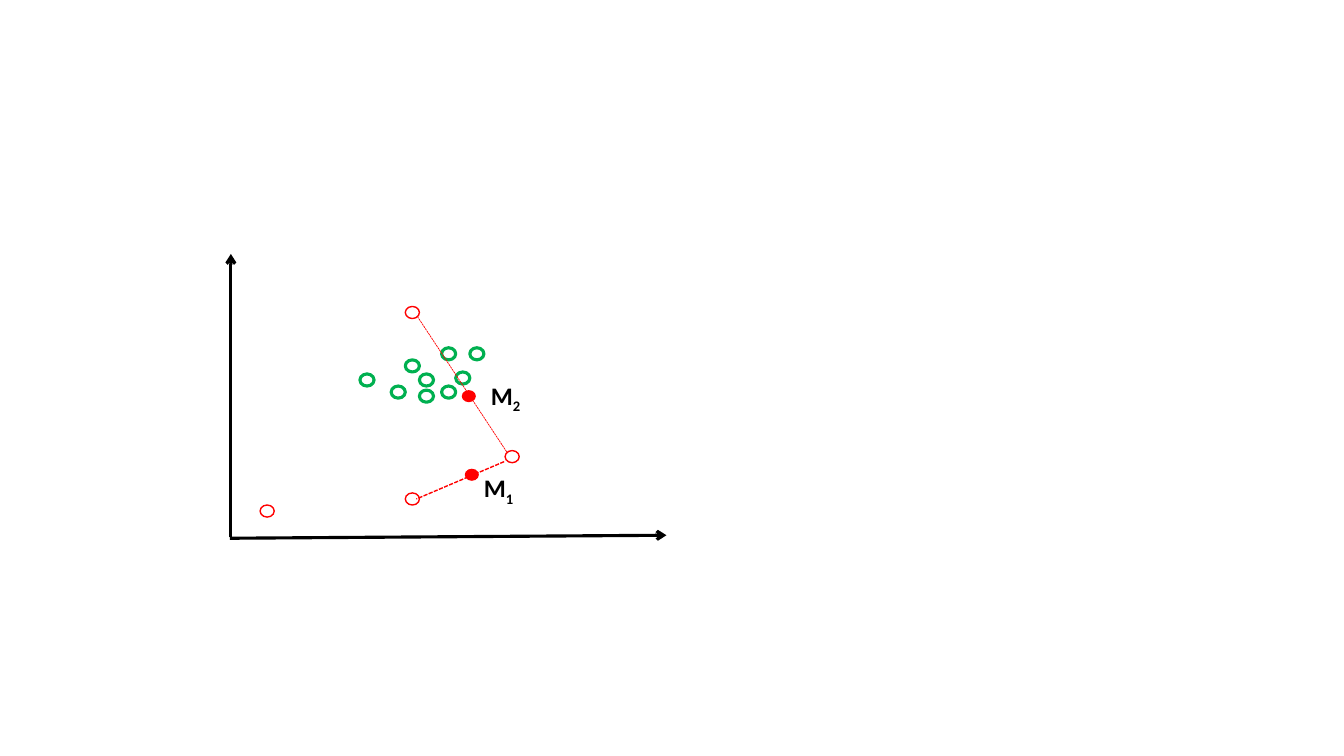
from lxml.etree import SubElement
from pptx import Presentation
from pptx.dml.color import RGBColor
from pptx.enum.dml import MSO_LINE
from pptx.enum.shapes import MSO_CONNECTOR, MSO_SHAPE
from pptx.enum.text import MSO_AUTO_SIZE
from pptx.oxml.ns import qn
from pptx.util import Inches, Pt

COLORS = {"axis": "000000", "cluster": "00B050", "outlier": "FF0000"}
POINT_SIZE = (0.14, 0.12)
CLUSTER_POINTS = [
    (4.02, 3.57), (4.16, 3.71), (3.57, 3.71), (3.88, 3.83), (4.66, 3.45),
    (4.38, 3.83), (4.38, 3.45), (4.52, 3.69), (4.16, 3.87),
]
OUTLIERS = [(4.02, 3.04), (5.01, 4.47), (2.58, 5.01), (4.02, 4.89)]
MIDPOINTS = [(4.58, 3.87), (4.61, 4.65)]


def color(name):
    return RGBColor.from_string(COLORS[name])


def add_point(slide, position, color_name, line_width=None):
    """Draw a ring, or a filled dot when no line width is given."""
    lengths = [Inches(value) for value in position + POINT_SIZE]
    shape = slide.shapes.add_shape(MSO_SHAPE.OVAL, *lengths)
    shape.shadow.inherit = False
    if line_width is None:
        shape.fill.solid()
        shape.fill.fore_color.rgb = color(color_name)
        shape.line.fill.background()
    else:
        shape.fill.background()
        shape.line.color.rgb = color(color_name)
        shape.line.width = Pt(line_width)


def add_line(slide, start, end, color_name, width, dash=None, arrow=False):
    lengths = [Inches(value) for value in start + end]
    connector = slide.shapes.add_connector(MSO_CONNECTOR.STRAIGHT, *lengths)
    line = connector.line
    line.color.rgb = color(color_name)
    line.width = Pt(width)
    if dash is not None:
        line.dash_style = dash
    if arrow:
        SubElement(line._get_or_add_ln(), qn("a:tailEnd"), type="arrow")
    SubElement(connector._element.spPr, qn("a:effectLst"))


def add_run(paragraph, text, size=18, bold=True, color_name="axis", baseline=None):
    run = paragraph.add_run()
    run.text = text
    run.font.name = "Calibri"
    run.font.size = Pt(size)
    run.font.bold = bold
    run.font.color.rgb = color(color_name)
    if baseline is not None:
        run.font._element.set("baseline", str(baseline * 1000))


def add_midpoint_label(slide, left, top, number):
    box = slide.shapes.add_textbox(Inches(left), Inches(top), Inches(0.59), Inches(0.4))
    box.text_frame.word_wrap = True
    box.text_frame.auto_size = MSO_AUTO_SIZE.SHAPE_TO_FIT_TEXT
    paragraph = box.text_frame.paragraphs[0]
    add_run(paragraph, "M")
    add_run(paragraph, number, baseline=-25)


def main():
    presentation = Presentation()
    presentation.slide_width = Inches(13.33)
    presentation.slide_height = Inches(7.5)
    slide = presentation.slides.add_slide(presentation.slide_layouts[6])

    add_line(slide, (2.29, 5.33), (2.29, 2.52), "axis", 2.25, arrow=True)
    add_line(slide, (2.28, 5.34), (6.61, 5.31), "axis", 2.25, arrow=True)

    for position in CLUSTER_POINTS:
        add_point(slide, position, "cluster", line_width=2.25)
    for position in OUTLIERS:
        add_point(slide, position, "outlier", line_width=1)
    for position in MIDPOINTS:
        add_point(slide, position, "outlier")

    add_line(slide, (5, 4.58), (4.13, 4.95), "outlier", 1, dash=MSO_LINE.SQUARE_DOT)
    add_line(slide, (4.14, 3.14), (5.03, 4.49), "outlier", 0.5, dash=MSO_LINE.SQUARE_DOT)

    add_midpoint_label(slide, 4.77, 3.72, "2")
    add_midpoint_label(slide, 4.7, 4.64, "1")

    presentation.save("out.pptx")


if __name__ == "__main__":
    main()
